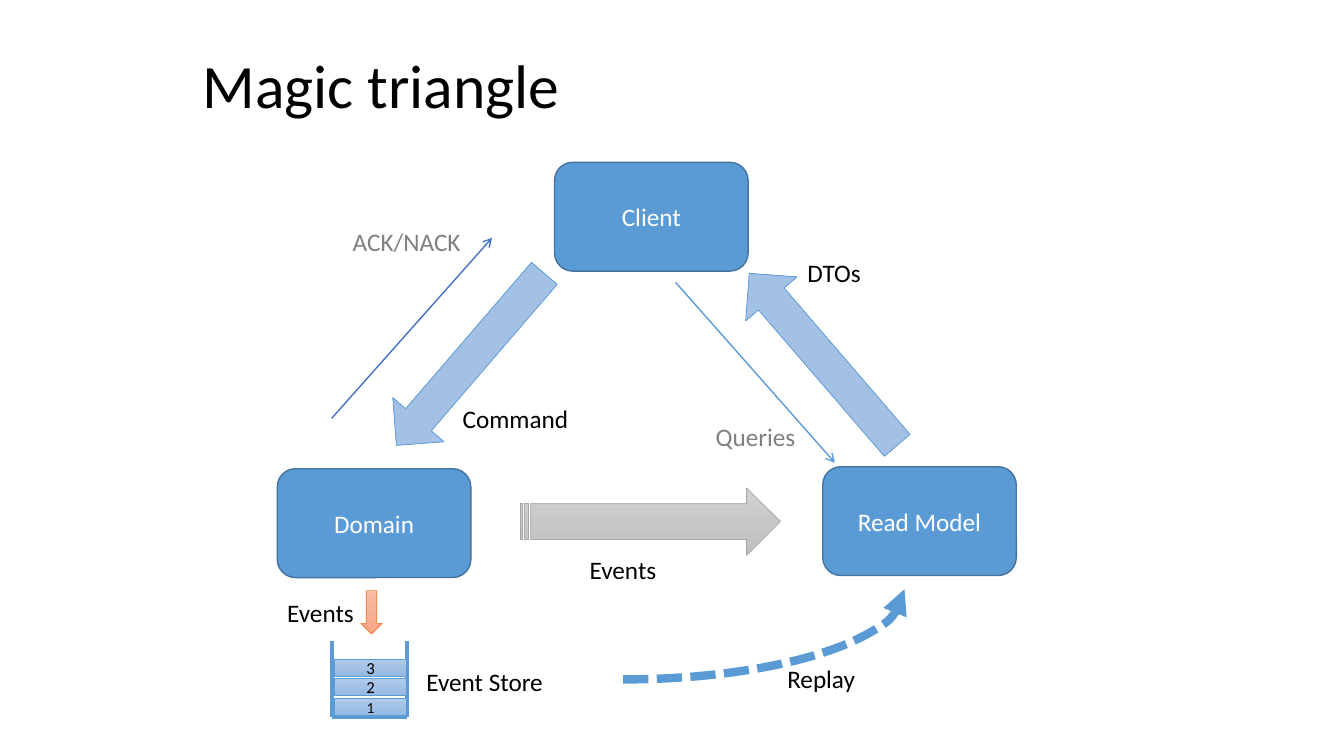
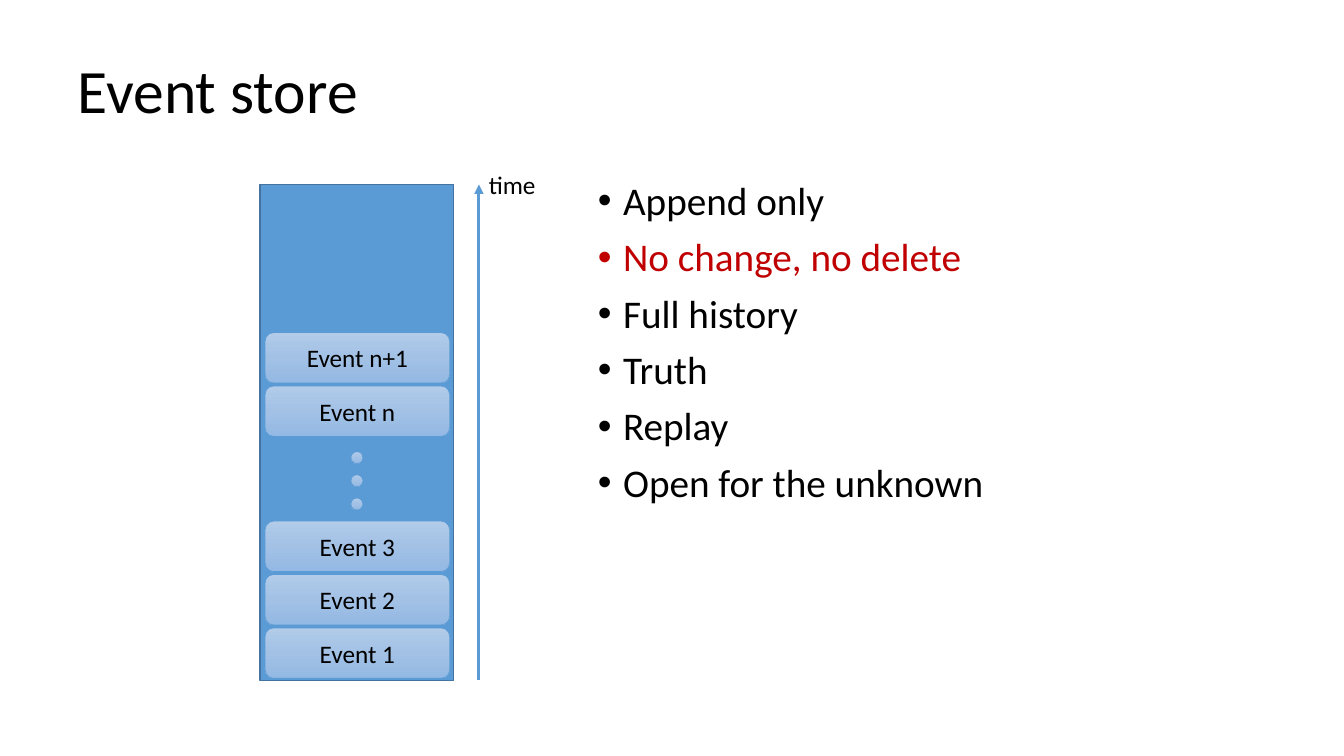
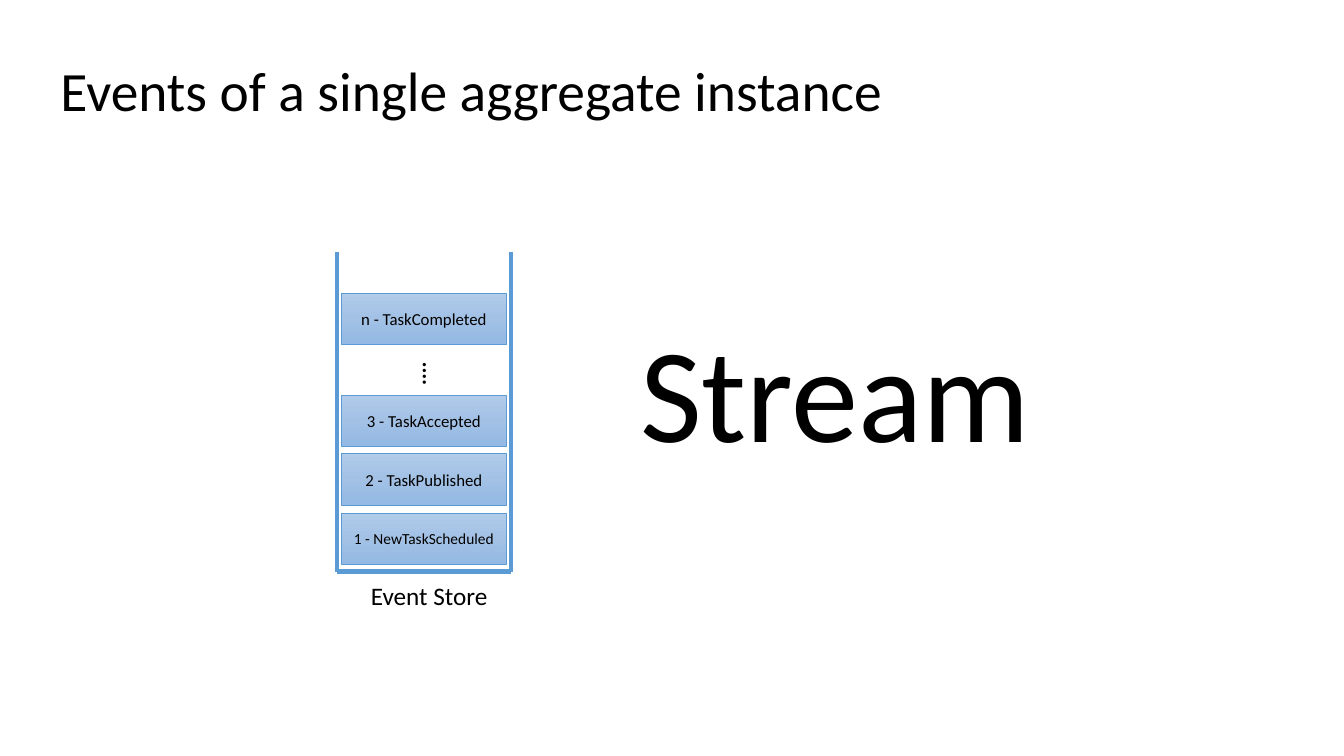
from copy import deepcopy

from lxml.etree import SubElement
from pptx import Presentation
from pptx.dml.color import RGBColor
from pptx.enum.dml import MSO_LINE
from pptx.enum.shapes import MSO_CONNECTOR, MSO_SHAPE
from pptx.enum.text import MSO_ANCHOR, MSO_AUTO_SIZE, PP_ALIGN
from pptx.oxml.ns import qn
from pptx.util import Inches, Pt

FONT = "Calibri"
BLACK = RGBColor(0x00, 0x00, 0x00)
WHITE = RGBColor(0xFF, 0xFF, 0xFF)
GRAY = RGBColor(0x80, 0x80, 0x80)
RED = RGBColor(0xC0, 0x00, 0x00)
BLUE = RGBColor(0x5B, 0x9B, 0xD5)
NAVY = RGBColor(0x43, 0x73, 0x9E)
ROYAL = RGBColor(0x44, 0x72, 0xC4)
SILVER = RGBColor(0xA5, 0xA5, 0xA5)
ORANGE = RGBColor(0xED, 0x7D, 0x31)

# Three gradient stops, top to bottom
SKY = [RGBColor(0xB1, 0xCB, 0xE9), RGBColor(0xA3, 0xC1, 0xE5), RGBColor(0x93, 0xB9, 0xE4)]
STEEL = [RGBColor(0xD2, 0xD2, 0xD2), RGBColor(0xC8, 0xC8, 0xC8), RGBColor(0xC0, 0xC0, 0xC0)]
PEACH = [RGBColor(0xF7, 0xBD, 0xA5), RGBColor(0xF5, 0xB1, 0x96), RGBColor(0xF8, 0xA5, 0x82)]

# Slide 1: text, left, top
NODES = [("Client", 5.5, 1.61), ("Read Model", 8.16, 4.63), ("Domain", 2.75, 4.65)]
# shape, box, turn, stops, line
ARROWS = [
    (MSO_SHAPE.STRIPED_RIGHT_ARROW, (5.16, 4.84, 2.58, 0.67), 0, STEEL, SILVER),
    (MSO_SHAPE.RIGHT_ARROW, (3.54, 3.23, 2.25, 0.67), 130.7, SKY, BLUE),
    (MSO_SHAPE.RIGHT_ARROW, (7.04, 3.23, 2.25, 0.67), 229.3, SKY, BLUE),
    (MSO_SHAPE.DOWN_ARROW, (3.58, 5.86, 0.21, 0.43), 0, PEACH, ORANGE),
]
# text, left, top, width, colour
LABELS = [
    ("Events", 5.75, 5.45, 0.87, BLACK),
    ("Command", 4.49, 3.95, 1.26, BLACK),
    ("DTOs", 7.91, 2.5, 0.74, BLACK),
    ("Event Store", 4.13, 6.56, 1.37, BLACK),
    ("Events", 2.75, 5.88, 0.87, BLACK),
    ("Replay", 7.71, 6.53, 0.88, BLACK),
    ("ACK/NACK", 3.4, 2.2, 1.28, GRAY),
    ("Queries", 7, 4.13, 1, GRAY),
]
THIN = [((3.29, 4.15), (4.88, 2.36), ROYAL), ((6.7, 2.8), (8.28, 4.59), BLUE)]
# text, top, size
SLOTS = [("1", 6.93, 11), ("2", 6.73, 12), ("3", 6.54, 12)]

# Slide 2
POINTS = [
    ("Append only", BLACK), ("No change, no delete", RED), ("Full history", BLACK),
    ("Truth", BLACK), ("Replay", BLACK), ("Open for the unknown", BLACK),
]
# lowest top, then texts going up
STACKS = [(6.23, ["Event 1", "Event 2", "Event 3"]), (3.83, ["Event n", "Event n+1"])]

# Slide 3
TASKS = [
    ("1 - NewTaskScheduled", 5.09, 11), ("2 - TaskPublished", 4.5, 12),
    ("3 - TaskAccepted", 3.92, 12), ("n - TaskCompleted", 2.91, 12),
]


def inch(*nums):
    return [Inches(num) for num in nums]


def style(para, size, color=BLACK):
    font = para.font
    font.name, font.size, font.color.rgb = FONT, Pt(size), color


def outline(item, color, width):
    item.line.color.rgb = color
    item.line.width = Pt(width)


def point(item, head):
    """Put an arrowhead on the far end of a line."""
    SubElement(item._element.spPr.find(qn("a:ln")), qn("a:tailEnd"), type=head)


def shade(shape, stops):
    """Fill from top to bottom with three stops."""
    fill = shape.fill
    fill.gradient()
    fill.gradient_angle = 270
    first = shape._element.spPr.find(qn("a:gradFill")).find(qn("a:gsLst"))[0]
    first.addnext(deepcopy(first))
    for stop, color, pos in zip(fill.gradient_stops, stops, (0, 0.5, 1)):
        stop.color.rgb = color
        stop.position = pos


def draw(slide, kind, box, fill=SKY, line=BLUE, width=0.5, text="", size=18, ink=BLACK):
    """Add a shape; fill is one colour or a list of stops."""
    shape = slide.shapes.add_shape(kind, *inch(*box))
    shape.shadow.inherit = False
    if isinstance(fill, list):
        shade(shape, fill)
    else:
        shape.fill.solid()
        shape.fill.fore_color.rgb = fill
    outline(shape, line, width)
    if text:
        frame = shape.text_frame
        frame.text = text
        frame.vertical_anchor = MSO_ANCHOR.MIDDLE
        para = frame.paragraphs[0]
        para.alignment = PP_ALIGN.CENTER
        style(para, size, ink)
    return shape


def label(slide, text, left, top, width, color=BLACK, size=18, high=0.4):
    frame = slide.shapes.add_textbox(*inch(left, top, width, high)).text_frame
    frame.word_wrap = False
    frame.auto_size = MSO_AUTO_SIZE.SHAPE_TO_FIT_TEXT
    frame.text = text
    style(frame.paragraphs[0], size, color)
    return frame.paragraphs[0]


def link(slide, start, end, color=BLUE, width=1, head=None):
    line = slide.shapes.add_connector(MSO_CONNECTOR.STRAIGHT, *inch(*start, *end))
    outline(line, color, width)
    if head:
        point(line, head)
    SubElement(line._element.spPr, qn("a:effectLst"))


def crate(slide, left, top, right, base):
    """Draw an open-topped store."""
    ends = [(left, top), (left, base), (right, base), (right, top)]
    for start, end in zip(ends, ends[1:]):
        link(slide, start, end, width=3)


def place(holder, box):
    holder.left, holder.top, holder.width, holder.height = inch(*box)


def start(deck, layout, text, box, size=44):
    """Add a slide with its title."""
    slide = deck.slides.add_slide(deck.slide_layouts[layout])
    title = slide.shapes.title
    place(title, box)
    frame = title.text_frame
    frame.text = text
    frame.vertical_anchor = MSO_ANCHOR.MIDDLE
    para = frame.paragraphs[0]
    para.alignment = PP_ALIGN.LEFT
    para.line_spacing = 0.9
    style(para, size)
    return slide


def triangle(deck):
    slide = start(deck, 5, "Magic triangle", (1.91, 0.25, 9, 1.25))
    for text, left, top in NODES:
        draw(slide, MSO_SHAPE.ROUNDED_RECTANGLE, (left, top, 1.92, 1.08),
             BLUE, NAVY, 1, text, ink=WHITE)
    for kind, box, turn, stops, line in ARROWS:
        arrow = draw(slide, kind, box, stops, line)
        arrow.rotation = turn
        if kind == MSO_SHAPE.STRIPED_RIGHT_ARROW:
            arrow.adjustments[0] = 0.53
    crate(slide, 3.29, 6.36, 4.04, 7.11)
    for text, top, size in SLOTS:
        draw(slide, MSO_SHAPE.RECTANGLE, (3.32, top, 0.71, 0.17), text=text, size=size)
    replay = draw(slide, MSO_SHAPE.ARC, (3.39, 4.95, 5.58, 1.79), width=6)
    replay.fill.background()
    replay.line.dash_style = MSO_LINE.SQUARE_DOT
    point(replay, "triangle")
    replay.rotation = 180
    replay._element.spPr.find(qn("a:xfrm")).set("flipH", "1")
    for head, tip, color in THIN:
        link(slide, head, tip, color, head="arrow")
    for item in LABELS:
        label(slide, *item)


def store(deck):
    slide = start(deck, 1, "Event store", (0.67, 0.3, 12, 1.25))
    body = slide.placeholders[1]
    place(body, (5.83, 1.75, 5.33, 4.95))
    frame = body.text_frame
    frame.text = "\n".join(text for text, _ in POINTS)
    for para, (_, color) in zip(frame.paragraphs, POINTS):
        style(para, 28, color)
        para.line_spacing = 0.9
        para.space_before = Pt(10)
        props = para._p.get_or_add_pPr()
        props.set("marL", str(Inches(0.25)))
        props.set("indent", str(-Inches(0.25)))
    draw(slide, MSO_SHAPE.RECTANGLE, (2.58, 1.83, 1.92, 4.92), BLUE, NAVY, 1)
    for base, texts in STACKS:
        for row, text in enumerate(texts):
            draw(slide, MSO_SHAPE.ROUNDED_RECTANGLE,
                 (2.63, base - 0.53 * row, 1.83, 0.5), text=text)
    for row in range(3):
        draw(slide, MSO_SHAPE.FLOWCHART_CONNECTOR, (3.48, 4.48 + 0.23 * row, 0.12, 0.12))
    link(slide, (4.75, 6.75), (4.75, 1.83), width=2.25, head="triangle")
    label(slide, "time", 4.75, 1.63, 0.67)


def stream(deck):
    slide = start(deck, 5, "Events of a single aggregate instance", (0.5, 0.3, 9, 1.25), 39.6)
    for text, top, size in TASKS:
        draw(slide, MSO_SHAPE.RECTANGLE, (3.39, top, 1.63, 0.51), text=text, size=size)
    crate(slide, 3.34, 2.5, 5.07, 5.67)
    label(slide, "Event Store", 3.58, 5.71, 1.37)
    label(slide, "⁞", 4.08, 3.5, 0.27, size=16, high=0.37).font.bold = True
    label(slide, "Stream", 6.25, 3.01, 4.11, size=96, high=1.72)


def main():
    deck = Presentation()
    deck.slide_width, deck.slide_height = inch(13.33, 7.5)
    for build in (triangle, store, stream):
        build(deck)
    deck.save("out.pptx")


if __name__ == "__main__":
    main()
